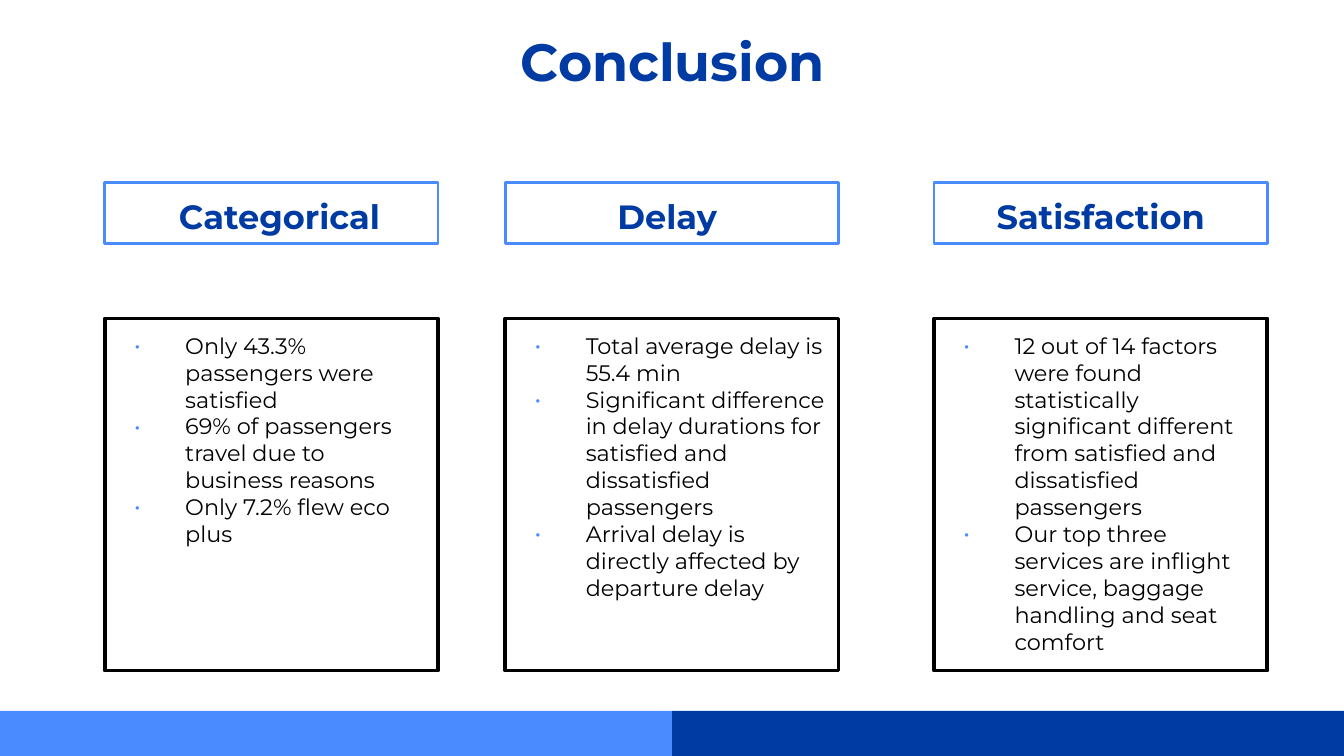
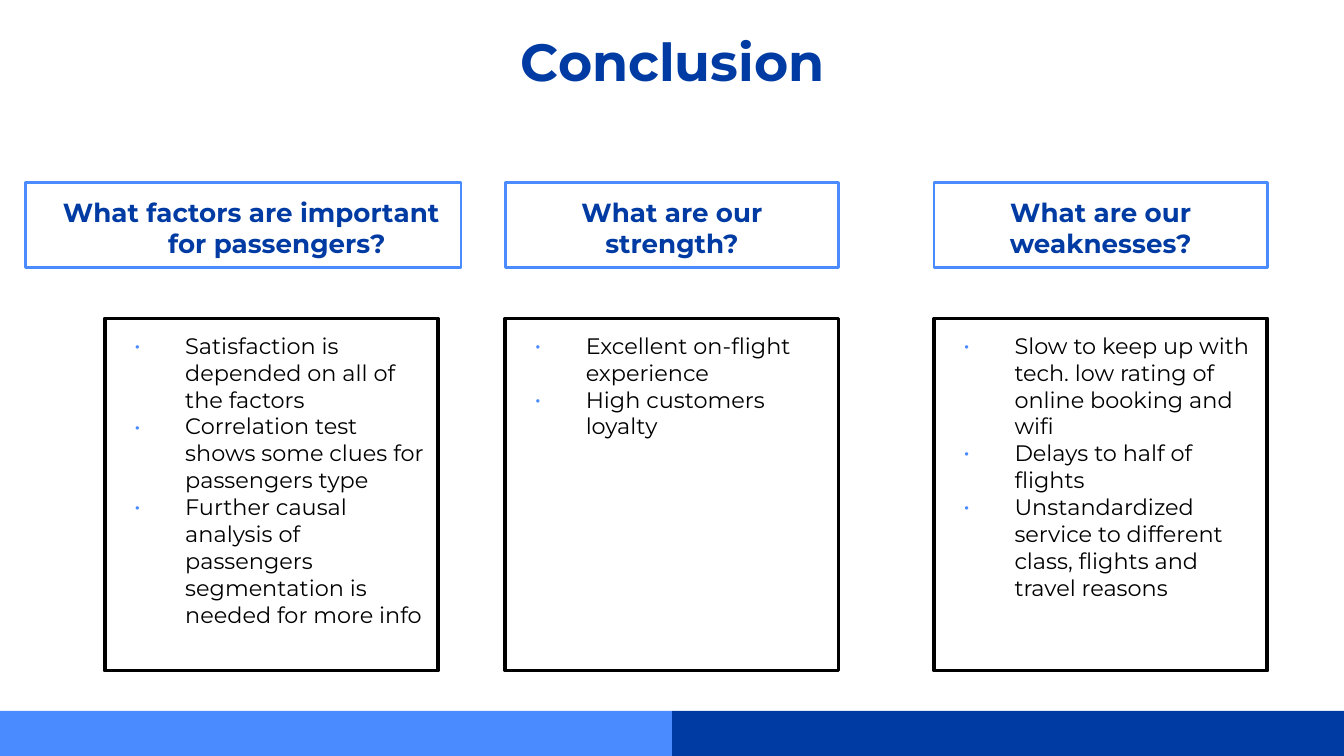
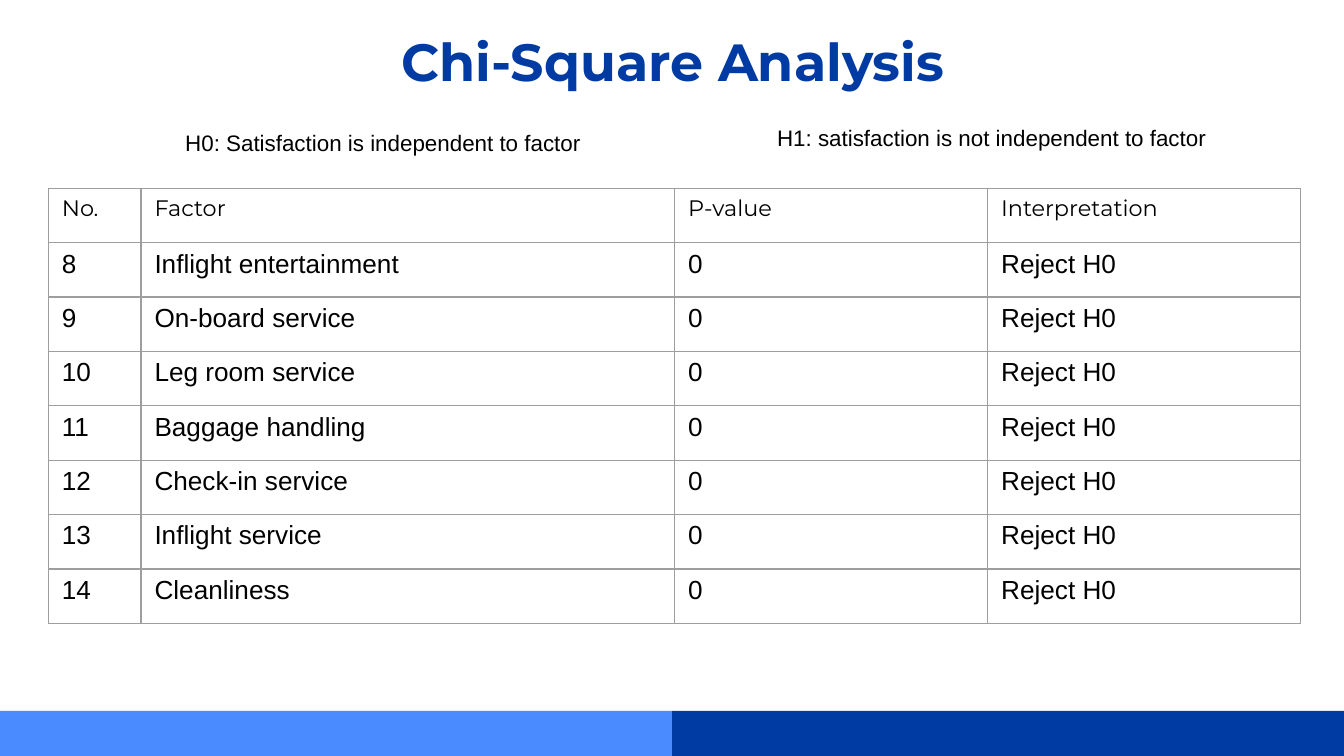
from dataclasses import dataclass

from lxml import etree
from pptx import Presentation
from pptx.dml.color import RGBColor
from pptx.enum.shapes import MSO_SHAPE
from pptx.enum.text import MSO_ANCHOR, MSO_AUTO_SIZE, PP_ALIGN
from pptx.oxml.ns import qn
from pptx.util import Inches, Pt

RECTANGLE = MSO_SHAPE.RECTANGLE
TOP = MSO_ANCHOR.TOP
NO_AUTOFIT = MSO_AUTO_SIZE.NONE
LEFT, CENTER = PP_ALIGN.LEFT, PP_ALIGN.CENTER
TITLE_ONLY = 5


@dataclass(frozen=True)
class Theme:
    navy: str = "003BA3"
    sky: str = "4A8CFF"
    black: str = "000000"
    white: str = "FFFFFF"
    grid: str = "9E9E9E"
    display: str = "Montserrat"
    plain: str = "Arial"
    title_size: int = 28
    heading_size: int = 18
    question_size: int = 14
    body_size: int = 12
    cell_size: int = 14
    heading_line: float = 1.5
    body_line: int = 2
    grid_line: float = 0.75


THEME = Theme()

# Shared geometry, in inches; the page is 16:9
PAGE_WIDTH = 10
PAGE_HEIGHT = PAGE_WIDTH * 9 / 16
BAND_TOP, BAND_HEIGHT = 5.29, 0.34
TITLE_AREA = (0.79, 0.12, 8.43, 0.63)
COLUMN_LEFTS = (0.78, 3.76, 6.95)
COLUMN_WIDTH = 2.48
HEADING_TOP = 1.36
BODY_TOP, BODY_HEIGHT = 2.37, 2.62
INSET = 0.1
HANGING = (0.5, -0.38)

# Slide content
FINDINGS = [
    ("Categorical", ["Only 43.3% passengers were satisfied",
                     "69% of passengers travel due to business reasons",
                     "Only 7.2% flew eco plus"]),
    ("Delay ", ["Total average delay is 55.4 min",
                "Significant difference in delay durations for satisfied "
                "and dissatisfied passengers",
                "Arrival delay is directly affected by departure delay"]),
    ("Satisfaction", ["12 out of 14 factors were found statistically significant "
                      "different from satisfied and dissatisfied passengers",
                      "Our top three services are inflight service, "
                      "baggage handling and seat comfort"]),
]
QUESTIONS = [
    ("What factors are important for passengers?",
     ["Satisfaction is depended on all of the factors",
      "Correlation test shows some clues for passengers type",
      "Further causal analysis of passengers segmentation is needed for more info"]),
    ("What are our strength?",
     ["Excellent on-flight experience", "High customers loyalty"]),
    ("What are our weaknesses?",
     ["Slow to keep up with tech. low rating of online booking and wifi",
      "Delays to half of flights",
      "Unstandardized service to different class, flights and travel reasons"]),
]
TABLE_HEADER = ("No.", "Factor", "P-value", "Interpretation")
FACTORS = ("Inflight entertainment", "On-board service", "Leg room service",
           "Baggage handling", "Check-in service", "Inflight service", "Cleanliness")
FIRST_FACTOR = 8


def set_all(target, values):
    for name, value in values.items():
        setattr(target, name, value)


def inches(area):
    return [Inches(length) for length in area]


def color(code):
    return RGBColor.from_string(code)


def add_bullet(para):
    properties = para._p.get_or_add_pPr()
    bullet_color = etree.SubElement(properties, qn("a:buClr"))
    etree.SubElement(bullet_color, qn("a:srgbClr"), val=THEME.sky)
    etree.SubElement(properties, qn("a:buFont"), typeface=THEME.display)
    etree.SubElement(properties, qn("a:buChar"), char="•")


def write(frame, texts, size, font=THEME.display, ink=THEME.black, bold=False,
          align=LEFT, hanging=False, bullets=False):
    """Fill a text frame with one paragraph for each text."""
    for index, text in enumerate(texts):
        para = frame.paragraphs[0] if index == 0 else frame.add_paragraph()
        para.alignment = align
        if hanging:
            margin, indent = inches(HANGING)
            properties = para._p.get_or_add_pPr()
            properties.set("marL", str(margin))
            properties.set("indent", str(indent))
        if bullets:
            add_bullet(para)
        span = para.add_run()
        span.text = text
        set_all(span.font, {"name": font, "size": Pt(size), "bold": bold})
        span.font.color.rgb = color(ink)


def prepare_frame(box):
    frame = box.text_frame
    set_all(frame, {"word_wrap": True, "auto_size": NO_AUTOFIT, "vertical_anchor": TOP})
    set_all(frame, {f"margin_{side}": Inches(INSET)
                    for side in ("left", "top", "right", "bottom")})
    return frame


def set_outline(box, ink, width):
    box.line.color.rgb = color(ink)
    box.line.width = Pt(width)


def add_rectangle(page, area, fill):
    box = page.shapes.add_shape(RECTANGLE, *inches(area))
    box.shadow.inherit = False
    box.fill.solid()
    box.fill.fore_color.rgb = color(fill)
    box.line.fill.background()
    return box


def add_text(page, area, text, size, **style):
    box = page.shapes.add_textbox(*inches(area))
    write(prepare_frame(box), [text], size, **style)
    return box


def add_page(deck, title):
    """Add a slide with the two bottom bands and a centred title."""
    page = deck.slides.add_slide(deck.slide_layouts[TITLE_ONLY])
    half = PAGE_WIDTH / 2
    for left, fill in ((half, THEME.navy), (0, THEME.sky)):
        add_rectangle(page, (left, BAND_TOP, half, BAND_HEIGHT), fill)
    holder = page.shapes.title
    set_all(holder, dict(zip(("left", "top", "width", "height"), inches(TITLE_AREA))))
    write(prepare_frame(holder), [title], THEME.title_size, ink=THEME.navy,
          bold=True, align=CENTER)
    return page


def add_conclusion(deck, columns, heading_size, heading_height, first_area):
    """Add three headed boxes; the first heading has its own left and width."""
    page = add_page(deck, "Conclusion")
    for index, (left, (heading, points)) in enumerate(zip(COLUMN_LEFTS, columns)):
        is_first = index == 0
        heading_left, width = first_area if is_first else (left, COLUMN_WIDTH)
        label = add_text(page, (heading_left, HEADING_TOP, width, heading_height),
                         heading, heading_size, ink=THEME.navy, bold=True,
                         align=CENTER, hanging=is_first)
        set_outline(label, THEME.sky, THEME.heading_line)
        body = add_rectangle(page, (left, BODY_TOP, COLUMN_WIDTH, BODY_HEIGHT),
                             THEME.white)
        set_outline(body, THEME.black, THEME.body_line)
        write(prepare_frame(body), points, THEME.body_size, hanging=True, bullets=True)


def add_cell_borders(cell):
    properties = cell._tc.get_or_add_tcPr()
    for side in ("lnL", "lnR", "lnT", "lnB"):
        line = etree.SubElement(properties, qn(f"a:{side}"), w=str(Pt(THEME.grid_line)))
        fill = etree.SubElement(line, qn("a:solidFill"))
        etree.SubElement(fill, qn("a:srgbClr"), val=THEME.grid)


def add_grid(page, area, widths, rows):
    table = page.shapes.add_table(len(rows), len(widths), *inches(area)).table
    set_all(table, {"first_row": False, "horz_banding": False})
    for column, width in zip(table.columns, widths):
        column.width = Inches(width)
    for row_index, values in enumerate(rows):
        style = ({"size": THEME.body_size} if row_index == 0
                 else {"size": THEME.cell_size, "font": THEME.plain})
        for cell, value in zip(table.rows[row_index].cells, values):
            add_cell_borders(cell)
            cell.fill.background()
            write(cell.text_frame, [value], **style)


def add_chi_square(deck):
    page = add_page(deck, "Chi-Square Analysis")
    rows = [TABLE_HEADER] + [(str(number), factor, "0", "Reject H0")
                             for number, factor in enumerate(FACTORS, FIRST_FACTOR)]
    add_grid(page, (0.36, 1.4, 9.32, 3.24), (0.69, 3.97, 2.33, 2.33), rows)
    add_text(page, (1.28, 0.86, 3.27, 0.51), "H0: Satisfaction is independent to factor",
             THEME.body_size, font=THEME.plain)
    add_text(page, (5.46, 0.82, 3.72, 0.51),
             "H1: satisfaction is not independent to factor",
             THEME.body_size, font=THEME.plain, align=CENTER, hanging=True)


def main():
    deck = Presentation()
    set_all(deck, {"slide_width": Inches(PAGE_WIDTH), "slide_height": Inches(PAGE_HEIGHT)})
    add_conclusion(deck, FINDINGS, THEME.heading_size, 0.45,
                   (COLUMN_LEFTS[0], COLUMN_WIDTH))
    add_conclusion(deck, QUESTIONS, THEME.question_size, 0.63, (0.19, 3.24))
    add_chi_square(deck)
    deck.save("out.pptx")


if __name__ == "__main__":
    main()
